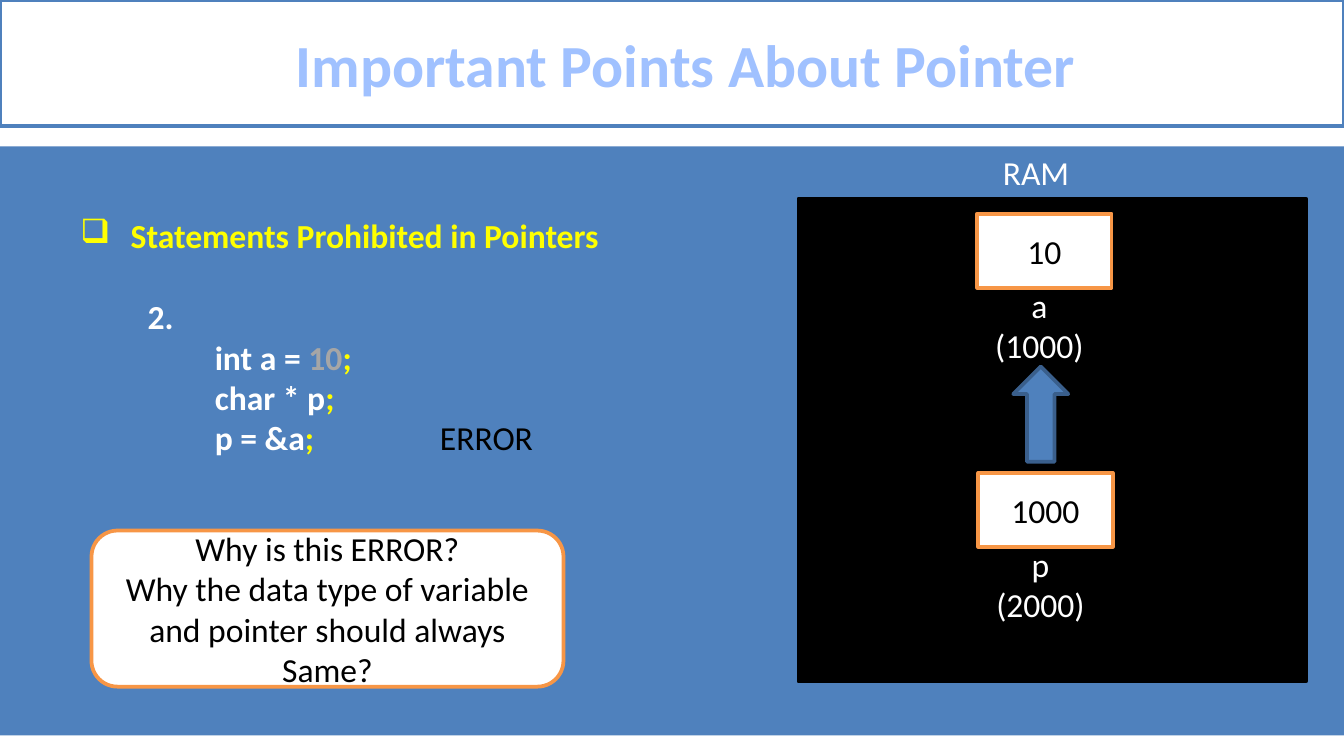
from dataclasses import dataclass

import lxml.etree
import pptx
import pptx.dml.color
import pptx.enum.shapes
import pptx.enum.text
import pptx.oxml.ns
import pptx.util

Cm = pptx.util.Cm
Pt = pptx.util.Pt
SHAPE = pptx.enum.shapes.MSO_SHAPE
ALIGN = pptx.enum.text.PP_ALIGN
ANCHOR = pptx.enum.text.MSO_ANCHOR

COLORS = {
    "blue": "4F81BD",
    "dark_blue": "3A5F8C",
    "title": "A0C1FF",
    "orange": "F79646",
    "yellow": "FFFF00",
    "gray": "A6A6A6",
    "white": "FFFFFF",
    "black": "000000",
}


@dataclass
class Box:
    """Position and size in centimetres."""
    left: float
    top: float
    width: float
    height: float

    def lengths(self) -> list:
        return [Cm(v) for v in (self.left, self.top, self.width, self.height)]


@dataclass
class Variable:
    name: str
    value: str
    address: str
    left: float
    top: float


@dataclass
class Line:
    runs: list[tuple[str, str]]
    margin: float
    hanging: float = 0
    bullet: str = ""
    before: float = 0


VARIABLES = [
    Variable("a", "10", "(1000)", 18.47, 4.04),
    Variable("p", "1000", "(2000)", 18.49, 8.94),
]

LINES = [
    Line([("Statements Prohibited in Pointers", "yellow")], 2.22, 0.95, "❑"),
    Line([("2.", "white")], 2.54, before=22),
    Line([("int a = ", "white"), ("10", "gray"), (";", "yellow")], 3.81),
    Line([("char * p", "white"), (";", "yellow")], 3.81),
    Line([("p = &a", "white"), (";", "yellow")], 3.81),
]


def rgb(name: str) -> pptx.dml.color.RGBColor:
    return pptx.dml.color.RGBColor.from_string(COLORS[name])


def set_font(font, color: str, size: float = 18, bold: bool = False) -> None:
    font.name = "Calibri"
    font.size = Pt(size)
    font.bold = bold
    font.color.rgb = rgb(color)


def write(sp, text: str, color: str, size: float = 18, bold: bool = False) -> None:
    """Fill a shape with centred text, one paragraph per line."""
    tf = sp.text_frame
    tf.text = text
    for p in tf.paragraphs:
        p.alignment = ALIGN.CENTER
        for r in p.runs:
            set_font(r.font, color, size, bold)


def add_shape(s, kind, box: Box, fill: str, line: str = ""):
    sp = s.shapes.add_shape(kind, *box.lengths())
    sp.shadow.inherit = False
    sp.fill.solid()
    sp.fill.fore_color.rgb = rgb(fill)
    if line:
        sp.line.color.rgb = rgb(line)
        sp.line.width = Pt(2)
    else:
        sp.line.fill.background()
    sp.text_frame.vertical_anchor = ANCHOR.MIDDLE
    return sp


def add_label(s, box: Box, text: str, color: str) -> None:
    sp = s.shapes.add_textbox(*box.lengths())
    sp.text_frame.word_wrap = False
    write(sp, text, color)


def add_variable(s, v: Variable) -> None:
    """Draw a memory cell with its name and address below."""
    cell = add_shape(s, SHAPE.RECTANGLE, Box(v.left, v.top, 2.54, 1.4), "white", "orange")
    write(cell, v.value, "black")
    add_label(s, Box(v.left + 0.07, v.top + 1.22, 2.21, 1.8), f"{v.name}\n{v.address}", "white")


def add_lines(s, box: Box, lines: list[Line]) -> None:
    tf = s.shapes.add_textbox(*box.lengths()).text_frame
    tf.word_wrap = True
    for i, line in enumerate(lines):
        p = tf.paragraphs[0] if i == 0 else tf.add_paragraph()
        pPr = p._p.get_or_add_pPr()
        pPr.set("marL", str(Cm(line.margin)))
        pPr.set("indent", str(-Cm(line.hanging)))
        if line.before:
            p.space_before = Pt(line.before)
        if line.bullet:
            bullet = lxml.etree.SubElement(pPr, pptx.oxml.ns.qn("a:buChar"))
            bullet.set("char", line.bullet)
        for text, color in line.runs:
            r = p.add_run()
            r.text = text
            set_font(r.font, color, bold=True)


def main() -> None:
    prs = pptx.Presentation()
    prs.slide_width, prs.slide_height = Cm(25.4), Cm(14.29)
    s = prs.slides.add_slide(prs.slide_layouts[6])

    add_shape(s, SHAPE.RECTANGLE, Box(0, 2.77, 25.4, 11.13), "blue")
    title = add_shape(s, SHAPE.RECTANGLE, Box(0, 0, 25.4, 2.39), "white", "blue")
    write(title, "Important Points About Pointer", "title", 32, True)
    title.text_frame.paragraphs[0]._p.get_or_add_pPr().set("marL", str(Cm(0.53)))

    add_lines(s, Box(0, 3.94, 25.4, 5.6), LINES)
    callout = add_shape(s, SHAPE.ROUNDED_RECTANGLE, Box(1.73, 10.03, 8.92, 2.95), "white", "orange")
    write(callout, "Why is this ERROR?\nWhy the data type of variable\n"
                   "and pointer should always\nSame?", "black")

    add_shape(s, SHAPE.RECTANGLE, Box(15.09, 3.76, 9.6, 9.12), "black", "black")
    add_label(s, Box(18.69, 2.74, 1.78, 1.02), "RAM", "white")
    for v in VARIABLES:
        add_variable(s, v)
    add_label(s, Box(8.05, 7.75, 2.29, 1.02), "ERROR", "black")
    add_shape(s, SHAPE.UP_ARROW, Box(19.15, 6.93, 1.04, 1.8), "blue", "dark_blue")

    prs.save("out.pptx")


if __name__ == "__main__":
    main()
